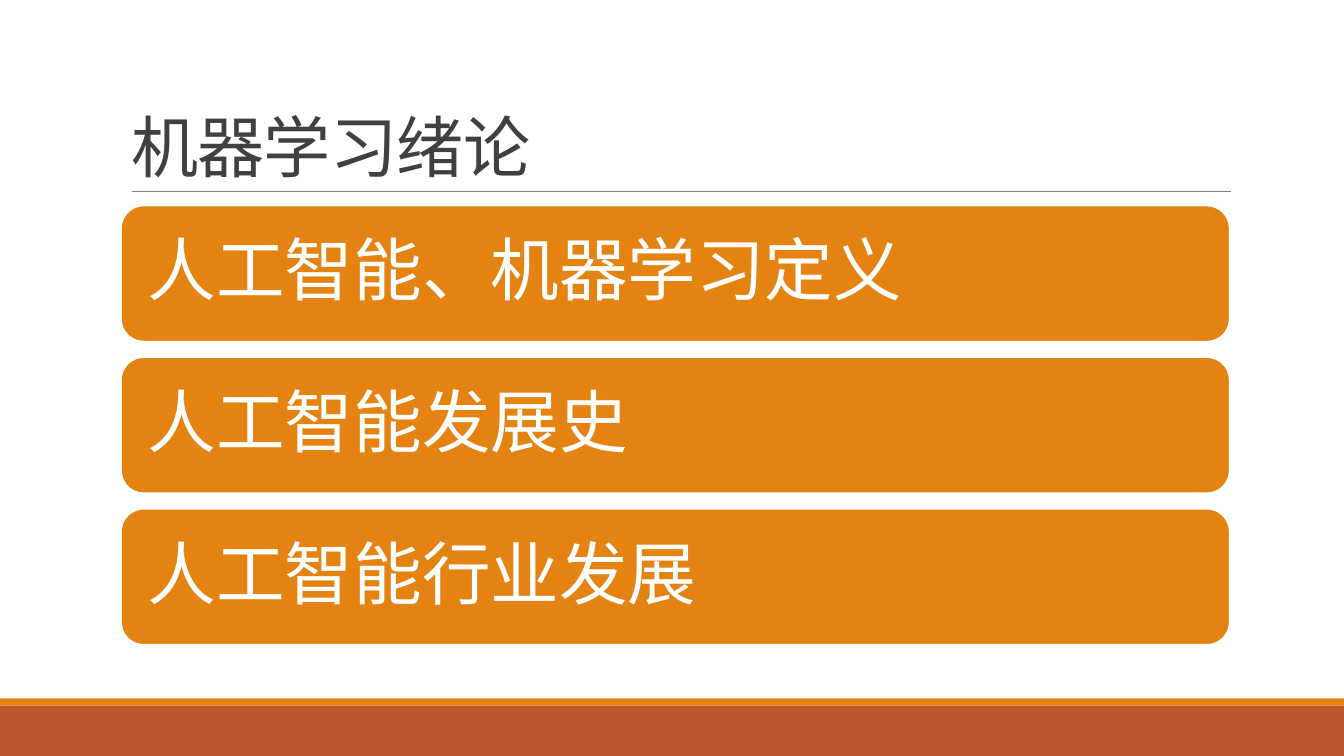
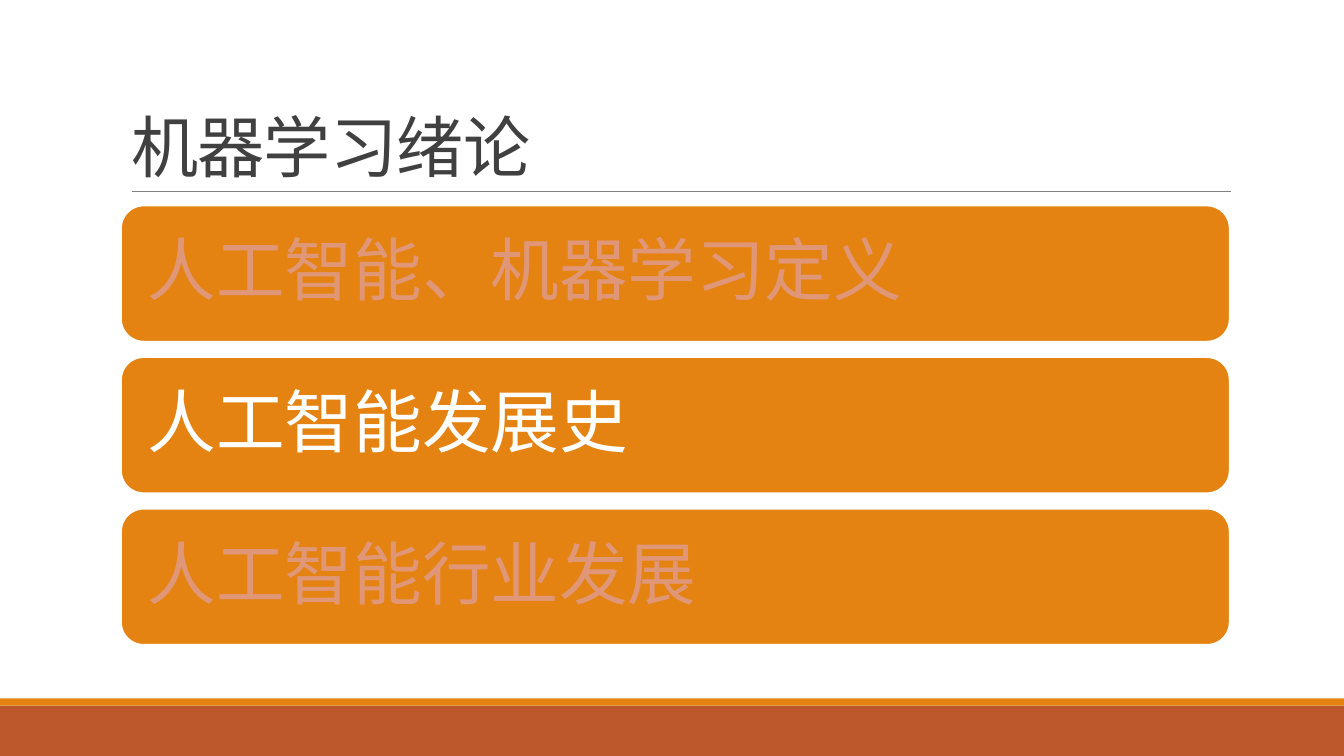
"""Build two agenda slides on machine learning, the second highlighting one topic."""
from lxml.etree import SubElement
from pptx import Presentation
from pptx.dml.color import RGBColor
from pptx.enum.shapes import MSO_CONNECTOR as Connector, MSO_SHAPE as Shape
from pptx.enum.text import MSO_ANCHOR as Anchor, MSO_AUTO_SIZE as AutoSize, PP_ALIGN as Align
from pptx.oxml.ns import qn
from pptx.util import Cm, Pt

TITLE = "机器学习绪论"
TOPICS = ["人工智能、机器学习定义", "人工智能发展史", "人工智能行业发展"]
HIGHLIGHTS = [{0, 1, 2}, {1}]

ORANGE = RGBColor(0xE4, 0x83, 0x12)
RUST = RGBColor(0xBD, 0x58, 0x2C)
FADED = RGBColor(0xE0, 0x97, 0x78)
WHITE = RGBColor(0xFF, 0xFF, 0xFF)
DARK_GRAY = RGBColor(0x40, 0x40, 0x40)
RULE_GRAY = RGBColor(0x80, 0x80, 0x80)
FONT = "Calibri"

SLIDE_WIDTH, SLIDE_HEIGHT = Cm(33.87), Cm(19.05)
LEFT, WIDTH = Cm(3.05), Cm(27.94)
CARD_TOP, CARD_HEIGHT, CARD_PITCH = Cm(5.18), Cm(3.43), Cm(3.82)
CARD_INSET = Cm(0.51)
BANDS = [(Cm(17.78), Cm(1.27), RUST), (Cm(17.6), Cm(0.18), ORANGE)]
RULE_LEFT, RULE_RIGHT, RULE_TOP = Cm(3.33), Cm(31.01), Cm(4.83)


def add_filled_shape(slide, kind, left, top, width, height, fill):
    shape = slide.shapes.add_shape(kind, left, top, width, height)
    shape.shadow.inherit = False
    shape.fill.solid()
    shape.fill.fore_color.rgb = fill
    shape.line.fill.background()
    return shape


def write_line(frame, text, size, color, line_spacing, anchor):
    frame.word_wrap = True
    frame.auto_size = AutoSize.NONE
    frame.vertical_anchor = anchor
    paragraph = frame.paragraphs[0]
    paragraph.text = text
    paragraph.alignment = Align.LEFT
    paragraph.line_spacing = line_spacing
    paragraph.font.name = FONT
    paragraph.font.size = size
    paragraph.font.color.rgb = color
    return paragraph


def add_frame(slide):
    for top, height, fill in BANDS:
        add_filled_shape(slide, Shape.RECTANGLE, 0, top, SLIDE_WIDTH, height, fill)
    rule = slide.shapes.add_connector(Connector.STRAIGHT, RULE_LEFT, RULE_TOP, RULE_RIGHT, RULE_TOP)
    rule.line.color.rgb = RULE_GRAY
    rule.line.width = Pt(0.5)
    SubElement(rule._element.spPr, qn("a:effectLst"))

    title = slide.shapes.title
    title.left, title.top, title.width, title.height = LEFT, Cm(0.79), WIDTH, Cm(4.04)
    paragraph = write_line(title.text_frame, TITLE, Pt(48), DARK_GRAY, 0.85, Anchor.BOTTOM)
    paragraph.runs[0]._r.get_or_add_rPr().set("spc", "-50")


def add_card(slide, index, topic, color):
    top = CARD_TOP + index * CARD_PITCH
    card = add_filled_shape(slide, Shape.ROUNDED_RECTANGLE, LEFT, top, WIDTH, CARD_HEIGHT, ORANGE)
    card.line.color.rgb = WHITE
    card.line.width = Pt(1.25)
    frame = card.text_frame
    frame.margin_left = frame.margin_right = CARD_INSET
    frame.margin_top = frame.margin_bottom = CARD_INSET
    write_line(frame, topic, Pt(49), color, 0.9, Anchor.MIDDLE)


def main():
    presentation = Presentation()
    presentation.slide_width, presentation.slide_height = SLIDE_WIDTH, SLIDE_HEIGHT
    title_only = presentation.slide_layouts[5]
    for highlighted in HIGHLIGHTS:
        slide = presentation.slides.add_slide(title_only)
        add_frame(slide)
        for index, topic in enumerate(TOPICS):
            add_card(slide, index, topic, WHITE if index in highlighted else FADED)
    presentation.save("out.pptx")


if __name__ == "__main__":
    main()
